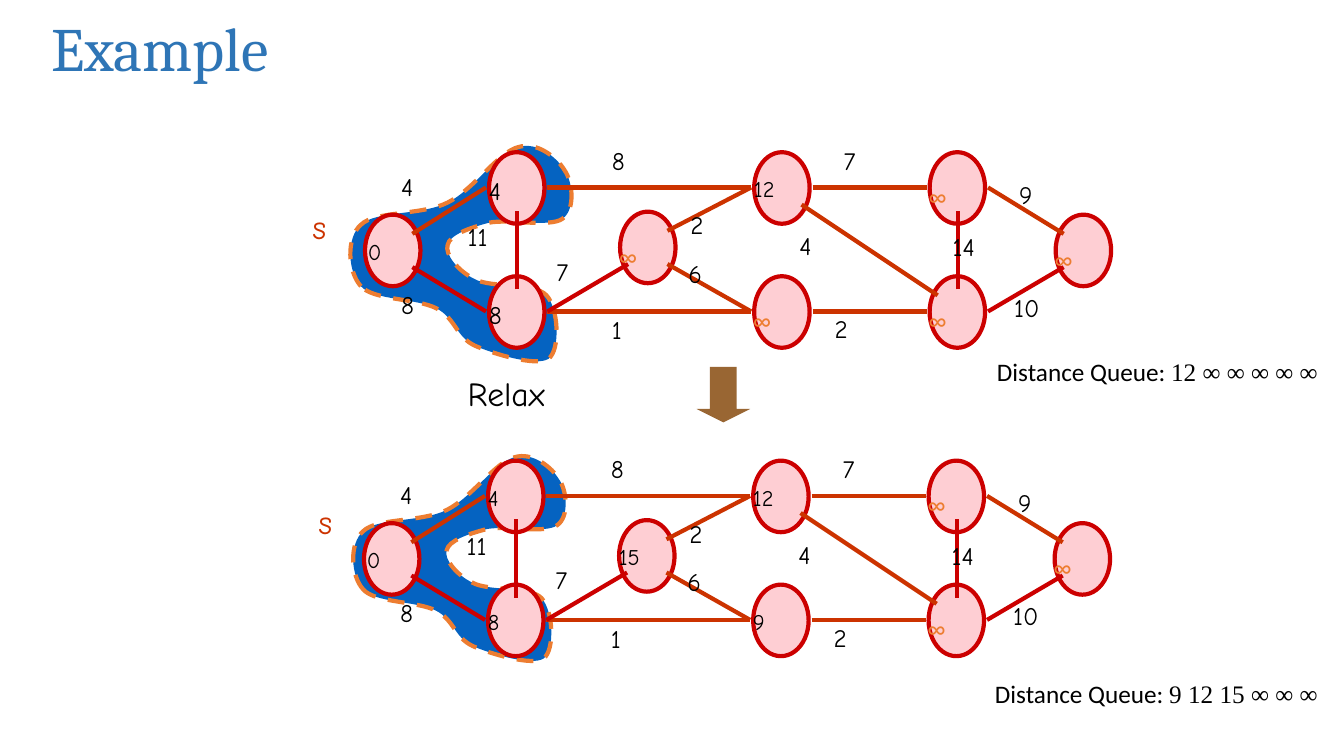
from lxml import etree
from pptx import Presentation
from pptx import util as u
from pptx.dml.color import RGBColor
from pptx.enum import dml, shapes, text
from pptx.oxml.ns import qn

COLORS = {"title": "2E75B6", "ink": "000000", "node": "FECED3", "red": "CC0000",
          "rust": "CC3300", "cloud": "0563C1", "orange": "ED7D31", "arrow": "996633"}
FORMATS = {
    "title": {"name": "Cambria", "size": u.Pt(44)},
    "weight": {"name": "Comic Neue", "size": u.Pt(18)},
    "distance": {"name": "Comic Neue", "size": u.Pt(16)},
    "heading": {"name": "Comic Neue", "size": u.Pt(24)},
    "infinity": {"name": "Lato", "size": u.Pt(18)},
    "queue": {"name": "Calibri", "size": u.Pt(18)},
    "values": {"name": "Times New Roman", "size": u.Pt(18)},
}

# Graph layout, in inches from the corner of its box
NODE_W, NODE_H = 0.55, 0.71
COLS = [0, 1.23, 2.53, 3.86, 5.6, 6.85]
TOP, MIDDLE, BOTTOM = 0, 0.62, 1.23
NODES = {"s": (COLS[0], MIDDLE), "b": (COLS[1], TOP), "h": (COLS[1], BOTTOM),
         "i": (COLS[2], MIDDLE - 0.03), "c": (COLS[3], TOP), "g": (COLS[3], BOTTOM),
         "d": (COLS[4], TOP), "f": (COLS[4], BOTTOM), "e": (COLS[5], MIDDLE)}
# Points on a node where edges meet it
PORTS = {"E": (0.58, 0.35), "W": (-0.03, 0.35), "N": (0.28, 0.13), "S": (0.28, 0.58),
         "NE": (0.47, 0.19), "SE": (0.47, 0.52), "NW": (0.08, 0.19), "SW": (0.08, 0.52)}
# Start node and port, end node and port, colour, weight, weight position
EDGES = [
    ("s", "NE", "b", "W", "rust", "4", (0.26, 0.14)),
    ("s", "SE", "h", "W", "red", "8", (0.26, 1.31)),
    ("h", "N", "b", "S", "red", "11", (0.92, 0.64)),
    ("c", "W", "b", "E", "rust", "8", (2.35, -0.12)),
    ("c", "E", "d", "W", "rust", "7", (4.65, -0.12)),
    ("e", "NW", "d", "E", "rust", "9", (6.39, 0.22)),
    ("f", "E", "e", "SW", "red", "10", (6.34, 1.34)),
    ("f", "N", "d", "S", "red", "14", (5.73, 0.74)),
    ("f", "NW", "c", "SE", "rust", "4", (4.21, 0.73)),
    ("g", "E", "f", "W", "rust", "2", (4.56, 1.55)),
    ("g", "W", "h", "E", "rust", "1", (2.35, 1.56)),
    ("i", "NE", "c", "W", "rust", "2", (3.13, 0.52)),
    ("i", "SE", "g", "W", "rust", "6", (3.11, 1)),
    ("h", "E", "i", "SW", "red", "7", (1.8, 0.98)),
]
# Visited region: start point, then two control points and an end point per curve
CLOUD_W, CLOUD_H = 2.28, 2.24
CLOUD_START = (0.15, 1.44)
CLOUD_CURVES = [
    ((0.02, 1.3), (0, 0.96), (0.15, 0.83)),
    ((0.29, 0.69), (0.75, 0.74), (1.01, 0.61)),
    ((1.27, 0.48), (1.51, 0.11), (1.71, 0.06)),
    ((1.9, 0), (2.1, 0.17), (2.17, 0.29)),
    ((2.25, 0.4), (2.28, 0.68), (2.15, 0.77)),
    ((2.03, 0.86), (1.61, 0.77), (1.42, 0.81)),
    ((1.23, 0.86), (1.03, 0.93), (1.01, 1.03)),
    ((0.98, 1.12), (1.11, 1.29), (1.28, 1.37)),
    ((1.44, 1.46), (1.87, 1.4), (1.99, 1.53)),
    ((2.11, 1.66), (2.13, 2.07), (2.01, 2.16)),
    ((1.89, 2.24), (1.46, 2.11), (1.28, 2.03)),
    ((1.09, 1.94), (1.09, 1.76), (0.9, 1.66)),
    ((0.71, 1.56), (0.27, 1.58), CLOUD_START),
]


def rgb(color):
    return RGBColor.from_string(COLORS[color])


def inches(*lengths):
    return [u.Inches(length) for length in lengths]


def add_run(paragraph, words, style, color):
    run = paragraph.add_run()
    run.text = words
    for key, value in FORMATS[style].items():
        setattr(run.font, key, value)
    run.font.color.rgb = rgb(color)


def add_label(parent, box, runs, color="ink", wrap=True):
    frame = parent.add_textbox(*inches(*box)).text_frame
    frame.word_wrap = wrap
    frame.auto_size = text.MSO_AUTO_SIZE.SHAPE_TO_FIT_TEXT
    for words, style in runs:
        add_run(frame.paragraphs[0], words, style, color)


def paint(shape, fill, outline=None):
    shape.shadow.inherit = False
    shape.fill.solid()
    shape.fill.fore_color.rgb = rgb(fill)
    if outline:
        shape.line.color.rgb = rgb(outline)
        shape.line.width = u.Pt(3)
    else:
        shape.line.fill.background()


def add_cloud(parent, left, top, width, height):
    def place(x, y):
        return inches(left + x / CLOUD_W * width, top + y / CLOUD_H * height)

    outline = parent.build_freeform(*place(*CLOUD_START))
    outline.add_line_segments([place(*point) for curve in CLOUD_CURVES for point in curve],
                              close=True)
    cloud = outline.convert_to_shape()
    # Join every three straight segments into one Bezier curve
    segments = list(cloud.element.iter(qn("a:lnTo")))
    for first in range(0, len(segments), 3):
        curve = etree.Element(qn("a:cubicBezTo"))
        segments[first].addprevious(curve)
        for segment in segments[first:first + 3]:
            curve.append(segment[0])
            segment.getparent().remove(segment)
    paint(cloud, "cloud", "orange")
    cloud.line.dash_style = dml.MSO_LINE.DASH


def add_graph(slide, left, top, cloud_box, source_at, distances, large=""):
    parent = slide.shapes.add_group_shape().shapes
    add_cloud(parent, *cloud_box)

    # Nodes
    for x, y in NODES.values():
        node = parent.add_shape(shapes.MSO_SHAPE.OVAL,
                                *inches(left + x, top + y, NODE_W, NODE_H))
        paint(node, "node", "red")

    # Edges
    def port(node, side):
        return inches(left + NODES[node][0] + PORTS[side][0],
                      top + NODES[node][1] + PORTS[side][1])

    for start, start_side, end, end_side, color, _, _ in EDGES:
        edge = parent.add_connector(shapes.MSO_CONNECTOR.STRAIGHT,
                                    *port(start, start_side), *port(end, end_side))
        edge.line.color.rgb = rgb(color)
        edge.line.width = u.Pt(3)
        etree.SubElement(edge.element.spPr, qn("a:effectLst"))

    # Edge weights
    for *_, weight, (x, y) in EDGES:
        add_label(parent, (left + x, top + y, 0.77, 0.4), [(weight, "weight")])

    # Distances and source mark
    for node, distance in distances.items():
        x, y = left + NODES[node][0], top + NODES[node][1]
        if distance == "∞":
            add_label(parent, (x - 0.11, y + 0.24, 0.77, 0.4), [("∞", "infinity")], "orange")
        else:
            style, height = ("weight", 0.4) if node in large else ("distance", 0.37)
            inset = 0.07 if node == "s" else 0.1
            add_label(parent, (x - inset, y + 0.18, 0.77, height), [(distance, style)])
    add_label(parent, (*source_at, 0.77, 0.5), [("s", "heading")], "rust")


def add_title(slide, box):
    title = slide.shapes.title
    title.left, title.top, title.width, title.height = inches(*box)
    title.text_frame.vertical_anchor = text.MSO_ANCHOR.MIDDLE
    heading = title.text_frame.paragraphs[0]
    heading.alignment = text.PP_ALIGN.LEFT
    add_run(heading, "Example", "title", "title")


def add_step(slide, left, top):
    add_label(slide.shapes, (left, top, 2.2, 0.5), [("Relax", "heading")])
    arrow = slide.shapes.add_shape(shapes.MSO_SHAPE.DOWN_ARROW,
                                   *inches(left + 2.37, top - 0.01, 0.53, 0.55))
    arrow.adjustments[1] = 0.25
    paint(arrow, "arrow")


def add_queue(slide, box, values):
    add_label(slide.shapes, box, [("Distance Queue: ", "queue"), (values, "values")], wrap=False)


def main():
    deck = Presentation()
    deck.slide_width, deck.slide_height = inches(13.33, 7.5)
    slide = deck.slides.add_slide(deck.slide_layouts[5])
    add_title(slide, (0.41, 0.01, 9.5, 0.92))

    # Before relaxing
    add_graph(slide, 3.62, 1.51, (3.43, 1.4, CLOUD_W, CLOUD_H), (3, 1.99),
              {"s": "0", "b": "4", "h": "8", "c": "12",
               "i": "∞", "g": "∞", "d": "∞", "f": "∞", "e": "∞"}, large="bh")
    add_queue(slide, (9.79, 3.49, 3.4, 0.4), "12 ∞ ∞ ∞ ∞ ∞")

    # After relaxing
    add_step(slide, 4.54, 3.65)
    add_graph(slide, 3.61, 4.57, (3.46, 4.48, 2.19, 2.13), (3.06, 4.92),
              {"s": "0", "b": "4", "h": "8", "c": "12",
               "i": "15", "g": "9", "d": "∞", "f": "∞", "e": "∞"})
    add_queue(slide, (9.77, 6.68, 3.42, 0.4), "9 12 15 ∞ ∞ ∞")
    deck.save("out.pptx")


if __name__ == "__main__":
    main()
